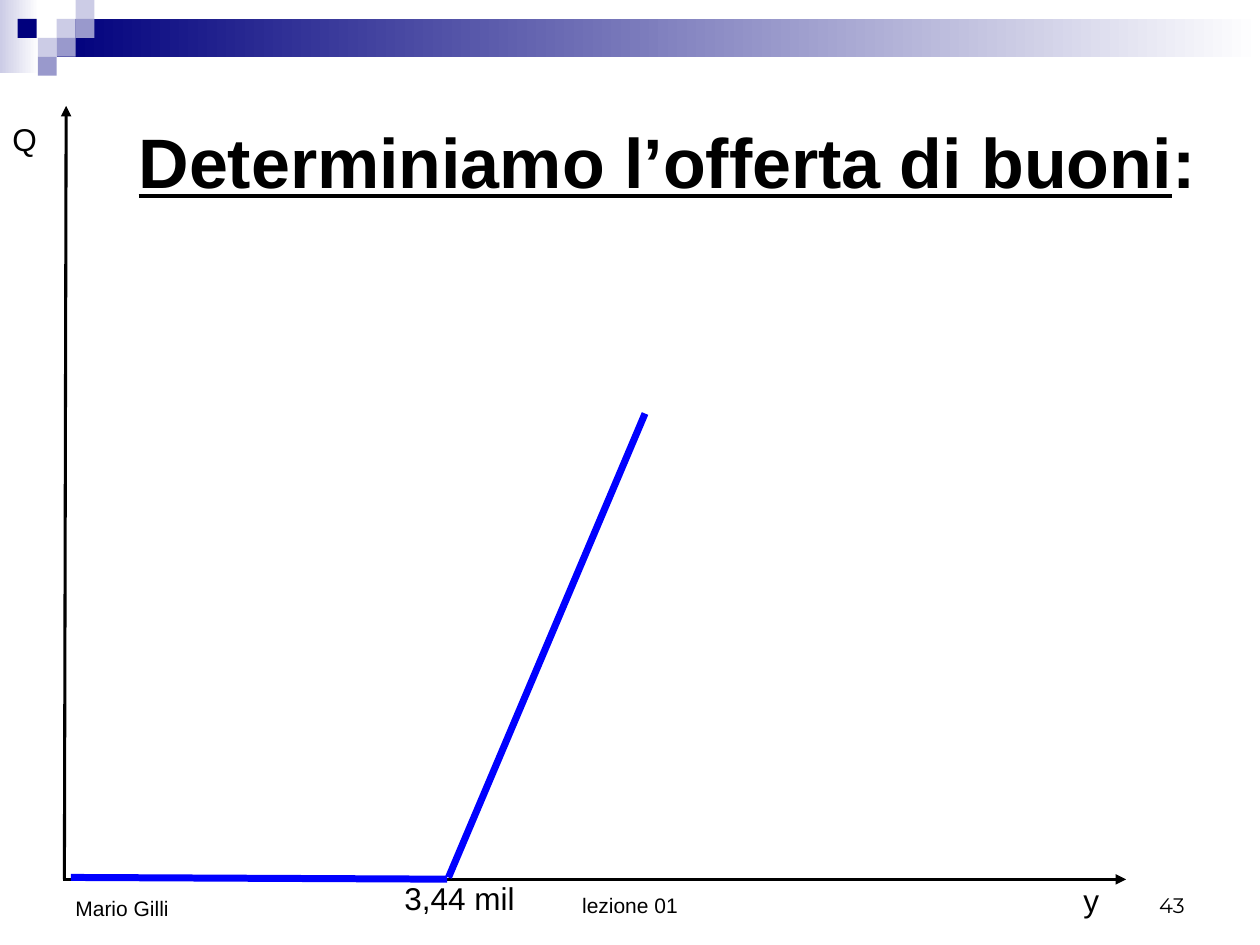
from lxml import etree
from pptx import Presentation
from pptx.dml.color import RGBColor
from pptx.enum.shapes import MSO_CONNECTOR, MSO_SHAPE
from pptx.enum.text import MSO_ANCHOR, MSO_AUTO_SIZE, PP_ALIGN
from pptx.oxml.ns import qn
from pptx.util import Pt

STRAIGHT, RECTANGLE = MSO_CONNECTOR.STRAIGHT, MSO_SHAPE.RECTANGLE
LEFT, CENTER, RIGHT = PP_ALIGN.LEFT, PP_ALIGN.CENTER, PP_ALIGN.RIGHT
TOP, BOTTOM = MSO_ANCHOR.TOP, MSO_ANCHOR.BOTTOM
NO_AUTOFIT = MSO_AUTO_SIZE.NONE

COLORS = {
    "ink": "000000", "curve": "0000FF", "navy": "00007D",
    "violet": "9999CC", "lilac": "CCCCE6", "white": "FFFFFF",
}

# Header: fading bands (box, start colour), then squares (left, top, colour)
TILE = 10.8
BANDS = [
    ((0, 0, 22.3, 41.8), "lilac"),
    ((32.4, TILE, 687.6, 2 * TILE), "navy"),
]
TILES = [
    (3 * TILE, TILE, "lilac"), (4 * TILE, 0, "lilac"),
    (4 * TILE, TILE, "violet"), (2 * TILE, 2 * TILE, "lilac"),
    (10.1, TILE, "navy"), (3 * TILE, 2 * TILE, "violet"),
    (2 * TILE, 3 * TILE, "violet"),
]

TITLE_BOX = (72, 64.1, 630, 55.4)
TITLE_RUNS = [("Determiniamo l’offerta di buoni", True), (":", False)]

# text, box, alignment, anchor, size, font, wrap
LABELS = [
    ("lezione 01", (246, 492, 228, 36), CENTER, BOTTOM, 12, "Arial", True),
    ("43", (516, 492, 168, 36), RIGHT, BOTTOM, 12, "Montserrat", True),
    ("Mario Gilli", (36, 492, 168, 37.5), LEFT, BOTTOM, 12, "Arial", True),
    ("Q", (0, 65, 30, 29), LEFT, TOP, 18, "Arial", False),
    ("y", (612, 500, 25, 29), LEFT, TOP, 18, "Arial", False),
    ("3,44 mil", (224, 498.5, 84, 29), LEFT, TOP, 18, "Arial", False),
]

# start, end, colour, width, arrow at the end
LINES = [
    ((36.8, 502.5), (37.8, 60.5), "ink", 1.75, True),
    ((36, 502.5), (643.5, 502.5), "ink", 1.75, True),
    ((40.5, 501.4), (255.5, 502.4), "curve", 4, False),
    ((256.3, 501.4), (368.6, 236.3), "curve", 4, False),
]


def rgb(name):
    return RGBColor.from_string(COLORS[name])


def add_block(slide, box):
    block = slide.shapes.add_shape(RECTANGLE, *map(Pt, box))
    block.shadow.inherit = False
    block.line.fill.background()
    return block


def add_header(slide):
    for box, start in BANDS:
        fill = add_block(slide, box).fill
        fill.gradient()
        fill.gradient_angle = 0
        for stop, color, position in zip(fill.gradient_stops, (start, "white"), (0, 1)):
            stop.color.rgb = rgb(color)
            stop.position = position
    for left, top, color in TILES:
        fill = add_block(slide, (left, top, TILE, TILE)).fill
        fill.solid()
        fill.fore_color.rgb = rgb(color)


def set_format(target, values):
    for name, value in values.items():
        setattr(target, name, value)


def set_font(font, size, face, **extra):
    set_format(font, {"size": Pt(size), "name": face, **extra})
    font.color.rgb = rgb("ink")


def add_label(slide, text, box, alignment, anchor, size, face, wrap):
    frame = slide.shapes.add_textbox(*map(Pt, box)).text_frame
    set_format(frame, {"text": text, "vertical_anchor": anchor, "word_wrap": wrap})
    paragraph = frame.paragraphs[0]
    paragraph.alignment = alignment
    set_font(paragraph.runs[0].font, size, face)


def add_line(slide, start, end, color, width, arrow):
    line = slide.shapes.add_connector(STRAIGHT, *map(Pt, start + end))
    line.line.color.rgb = rgb(color)
    line.line.width = Pt(width)
    if arrow:
        etree.SubElement(line.line._get_or_add_ln(), qn("a:tailEnd"), type="triangle")
    etree.SubElement(line._element.spPr, qn("a:effectLst"))


def format_title(title):
    box = dict(zip(("left", "top", "width", "height"), map(Pt, TITLE_BOX)))
    set_format(title, box)
    frame = title.text_frame
    set_format(frame, {"vertical_anchor": TOP, "word_wrap": True, "auto_size": NO_AUTOFIT})
    paragraph = frame.paragraphs[0]
    paragraph.alignment = LEFT
    for text, underlined in TITLE_RUNS:
        run = paragraph.add_run()
        run.text = text
        set_font(run.font, 40, "Arial", bold=True, underline=underlined)


def main():
    presentation = Presentation()
    presentation.slide_width, presentation.slide_height = Pt(720), Pt(540)
    slide = presentation.slides.add_slide(presentation.slide_layouts[5])
    add_header(slide)
    format_title(slide.shapes.title)
    for label in LABELS:
        add_label(slide, *label)
    for line in LINES:
        add_line(slide, *line)
    presentation.save("out.pptx")


if __name__ == "__main__":
    main()
